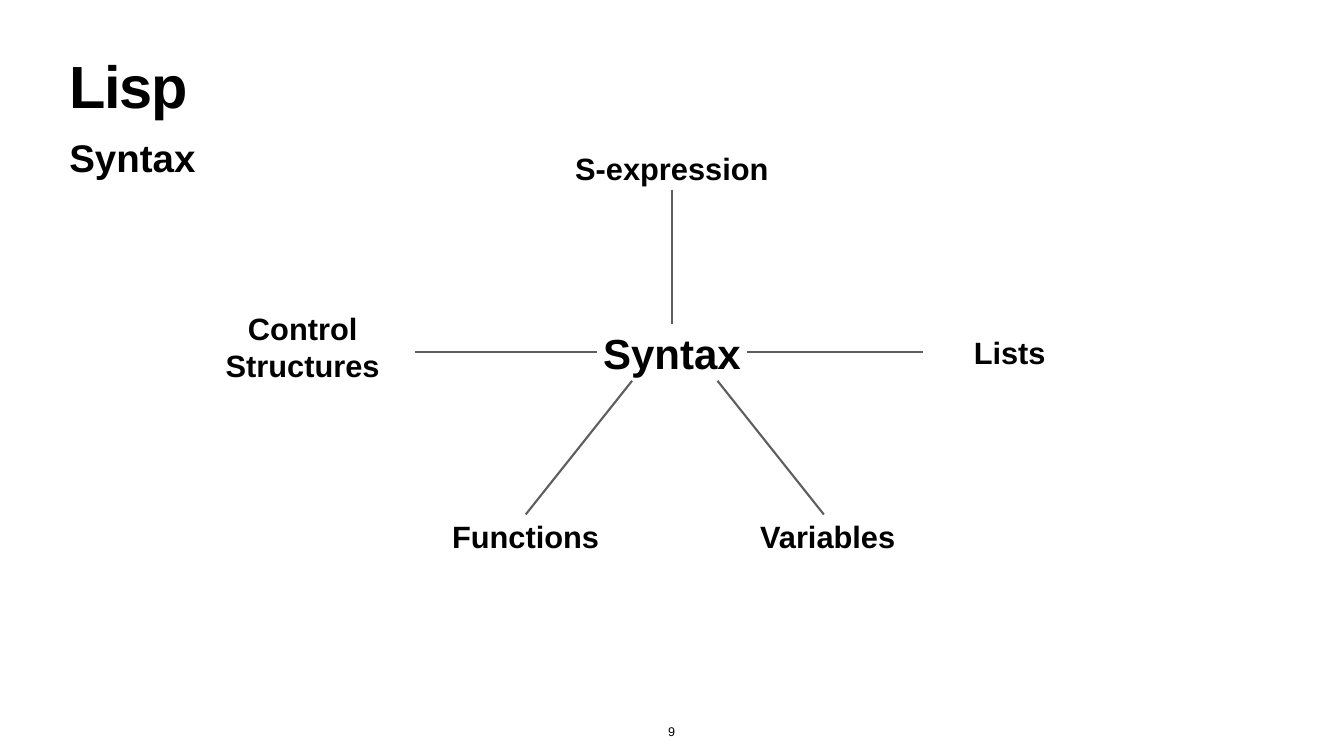
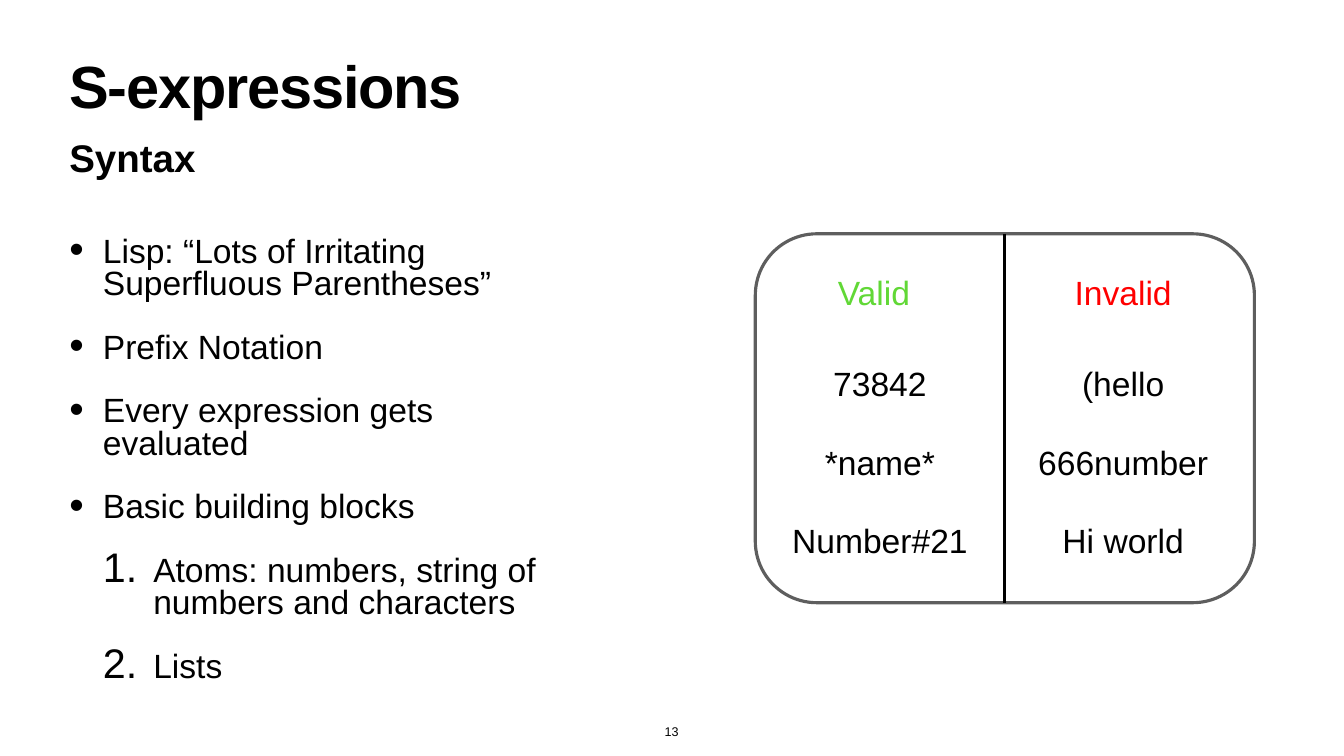
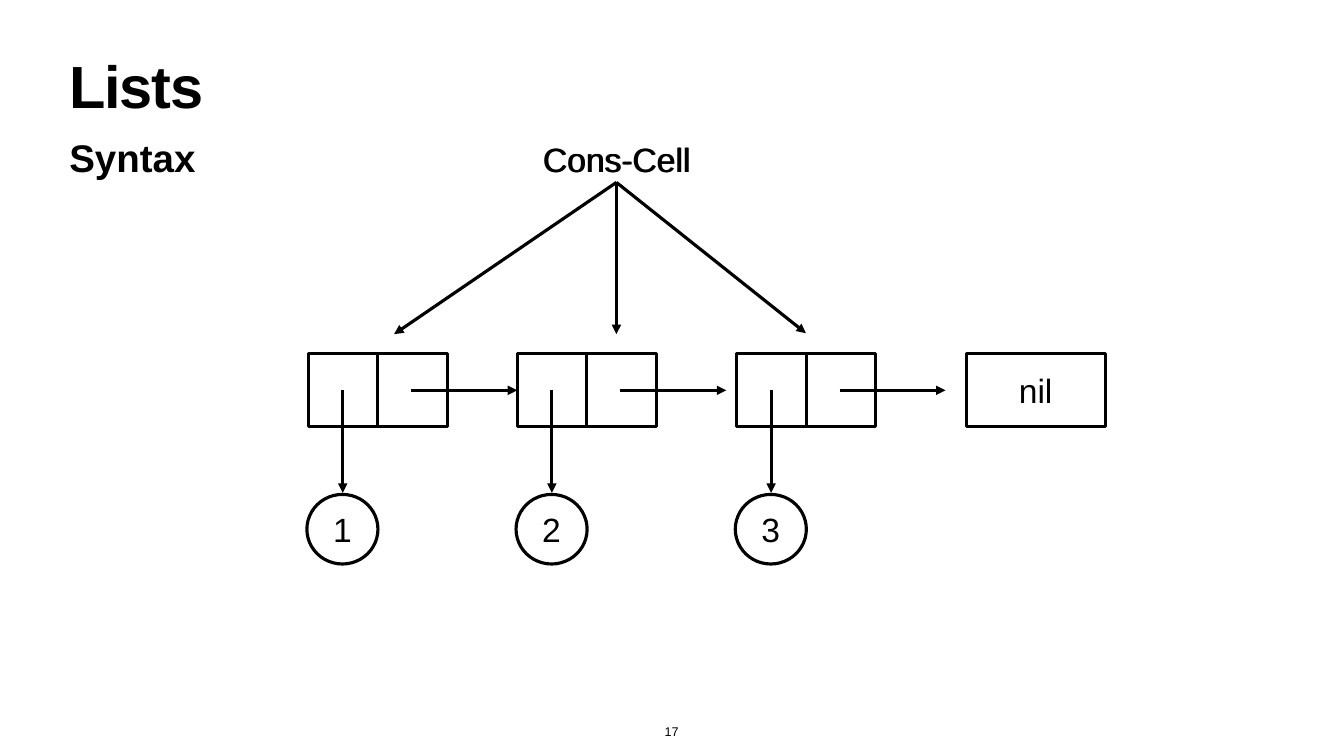
"""Builds three slides on Lisp syntax: an overview map, S-expressions and lists."""
from lxml import etree
from pptx import Presentation
from pptx.dml.color import RGBColor
from pptx.enum.shapes import MSO_CONNECTOR, MSO_SHAPE
from pptx.enum.text import MSO_ANCHOR, MSO_AUTO_SIZE, PP_ALIGN
from pptx.oxml.ns import qn
from pptx.util import Pt

LEFT, CENTER = PP_ALIGN.LEFT, PP_ALIGN.CENTER
TOP, MIDDLE, BOTTOM = MSO_ANCHOR.TOP, MSO_ANCHOR.MIDDLE, MSO_ANCHOR.BOTTOM
NO_FIT = MSO_AUTO_SIZE.NONE
STRAIGHT = MSO_CONNECTOR.STRAIGHT
RECT, ROUNDED = MSO_SHAPE.RECTANGLE, MSO_SHAPE.ROUNDED_RECTANGLE
CIRCLE = MSO_SHAPE.FLOWCHART_CONNECTOR

FONT = "Arial"
BLACK, WHITE, GRAY = "000000", "FFFFFF", "5E5E5E"
GREEN, RED = "61D836", "FF0000"
WIDTH, HEIGHT = 1920, 1080
MARGIN = 95
CONTENT_LAYOUT, TWO_CONTENT_LAYOUT = 1, 3
HEAVY = 4.5

SUBTITLE = "Syntax"

HUB = ("Syntax", (853, 463, 214, 81))
TOPICS = [
    ("S-expression", (795, 210, 330, 61), (960, 271), (960, 463)),
    ("Lists", (1305, 472, 275, 61), (1067, 503), (1318, 503)),
    ("Variables", (1041, 735, 283, 61), (1025, 544), (1177, 735)),
    ("Functions", (614, 735, 274, 61), (903, 544), (751, 735)),
    ("Control Structures", (287, 438, 291, 114), (593, 503), (853, 503)),
]

POINTS = [
    ("Lisp: “Lots of Irritating Superfluous Parentheses”", 0),
    ("Prefix Notation", 0),
    ("Every expression gets evaluated", 0),
    ("Basic building blocks", 0),
    ("Atoms: numbers, string of numbers and characters", 1),
    ("Lists", 1),
]
CARD = (1079, 334, 713, 527)
EXAMPLES = [
    ("Valid", GREEN, (1118, 261), ["73842", "*name*", "Number#21"], (1118, 278)),
    ("Invalid", RED, (1514, 181), ["(hello", "666number", "Hi world"], (1435, 339)),
]

CONS_CELLS = [("1", 440.6), ("2", 739.4), ("3", 1052.6)]
NIL_LEFT = 1380.2
CELL_TOP, CELL_WIDTH, CELL_HEIGHT = 505.4, 198.7, 104.4
CELL_LABEL_LEFTS = (663.8, 665.3)
CELL_LABEL_TIP = (880.6, 260.6)
CELL_TARGETS = [(563, 477.4), (880.6, 477.4), (1151.3, 476)]


def rgb(code):
    """Return the colour of a hex string."""
    return RGBColor.from_string(code)


def write(frame, text, size=48, color=BLACK, bold=False, align=CENTER, anchor=MIDDLE,
          inset=4, wrap=True, line_spacing=1.0, before=0, gap=0, tracking=None):
    """Fill a text frame with one string or a list of paragraphs and format it."""
    frame.auto_size = NO_FIT
    frame.word_wrap = wrap
    frame.vertical_anchor = anchor
    frame.margin_left = frame.margin_right = Pt(inset)
    frame.margin_top = frame.margin_bottom = Pt(inset)
    lines = [text] if isinstance(text, str) else text
    for index, line in enumerate(lines):
        paragraph = frame.add_paragraph() if index else frame.paragraphs[0]
        paragraph.alignment = align
        paragraph.line_spacing = line_spacing
        paragraph.space_before = Pt(gap if gap and index else before)
        run = paragraph.add_run()
        run.text = line
        run.font.name, run.font.size, run.font.bold = FONT, Pt(size), bold
        run.font.color.rgb = rgb(color)
        if tracking:
            run.font._element.set("spc", str(tracking))


def place(placeholder, left, top, width, height):
    """Move and resize a placeholder."""
    placeholder.left, placeholder.top = Pt(left), Pt(top)
    placeholder.width, placeholder.height = Pt(width), Pt(height)


def set_bullet(paragraph, indent, hanging, tag=None, **attributes):
    """Set the indents of a paragraph and its bullet, or no bullet."""
    props = paragraph._p.get_or_add_pPr()
    props.set("marL", str(Pt(indent)))
    props.set("indent", str(Pt(-hanging)))
    if tag:
        etree.SubElement(props, qn("a:buSzPct")).set("val", "123000")
    bullet = etree.SubElement(props, qn(tag or "a:buNone"))
    for key, value in attributes.items():
        bullet.set(key, value)


def add_text(slide, text, box, **style):
    """Add a text box."""
    write(slide.shapes.add_textbox(*map(Pt, box)).text_frame, text, **style)


def add_outline(slide, kind, box, fill=WHITE, line=BLACK, label=None):
    """Add an outlined shape, with a label if given."""
    shape = slide.shapes.add_shape(kind, *map(Pt, box))
    shape.shadow.inherit = False
    if fill:
        shape.fill.solid()
        shape.fill.fore_color.rgb = rgb(fill)
    else:
        shape.fill.background()
    shape.line.color.rgb = rgb(line)
    shape.line.width = Pt(HEAVY)
    if label:
        write(shape.text_frame, label)


def add_line(slide, start, end, color=BLACK, width=HEAVY, arrow=False):
    """Add a straight line, with an arrowhead at its end if asked."""
    line = slide.shapes.add_connector(STRAIGHT, *map(Pt, start + end))
    line.line.color.rgb = rgb(color)
    line.line.width = Pt(width)
    if arrow:
        etree.SubElement(line.line._get_or_add_ln(), qn("a:tailEnd")).set("type", "triangle")
    etree.SubElement(line._element.spPr, qn("a:effectLst"))


def add_slide(deck, title, number, layout=CONTENT_LAYOUT, subtitle_width=1730):
    """Add a slide with its title, subtitle and page number."""
    slide = deck.slides.add_slide(deck.slide_layouts[layout])
    heading, subtitle = slide.shapes.title, slide.placeholders[1]
    place(heading, MARGIN, 85, 1730, 113)
    write(heading.text_frame, title, size=85, bold=True, align=LEFT, anchor=TOP,
          line_spacing=0.8, tracking=-170)
    place(subtitle, MARGIN, 187, subtitle_width, 73)
    write(subtitle.text_frame, SUBTITLE, size=55, bold=True, align=LEFT, anchor=TOP)
    set_bullet(subtitle.text_frame.paragraphs[0], 0, 0)
    add_text(slide, str(number), (945, 1030, 29, 30), size=18, anchor=BOTTOM, wrap=False)
    return slide


def build_overview(deck):
    """Draw the syntax hub and its topics."""
    slide = add_slide(deck, "Lisp", 9, subtitle_width=770)
    add_text(slide, *HUB, size=60, bold=True)
    for topic, box, start, end in TOPICS:
        add_line(slide, start, end, GRAY, 3)
        add_text(slide, topic, box, size=44, bold=True)


def build_expressions(deck):
    """List the rules beside a card of valid and invalid examples."""
    slide = add_slide(deck, "S-expressions", 13, TWO_CONTENT_LAYOUT)
    rules = slide.placeholders[2]
    place(rules, MARGIN, 335, 747, 650)
    write(rules.text_frame, [point for point, level in POINTS], align=LEFT, anchor=TOP,
          line_spacing=0.8, before=45)
    for paragraph, (point, level) in zip(rules.text_frame.paragraphs, POINTS):
        paragraph.level = level
        if level:
            set_bullet(paragraph, 120, 72, "a:buAutoNum", type="arabicPeriod")
        else:
            set_bullet(paragraph, 48, 48, "a:buChar", char="•")
    left, top, width, height = CARD
    middle = left + width / 2
    add_outline(slide, ROUNDED, CARD, fill=None, line=GRAY)
    add_line(slide, (middle, top), (middle, top + height))
    for verdict, color, (head_left, head_width), samples, (text_left, text_width) in EXAMPLES:
        add_text(slide, verdict, (head_left, 384, head_width, 66), color=color)
        add_text(slide, samples, (text_left, 510, text_width, 299), gap=55)


def build_lists(deck):
    """Draw a chain of cons cells that ends in nil."""
    slide = add_slide(deck, "Lists", 17)
    middle = CELL_TOP + CELL_HEIGHT / 2
    for value, left in CONS_CELLS:
        divider, value_x, next_x = left + 99, left + 49, left + 147
        add_outline(slide, RECT, (left, CELL_TOP, CELL_WIDTH, CELL_HEIGHT))
        add_line(slide, (divider, CELL_TOP), (divider, CELL_TOP + CELL_HEIGHT))
        add_outline(slide, CIRCLE, (left - 2.2, 706.3, 101.5, 99.4), label=value)
        add_line(slide, (value_x, middle), (value_x, 704.2), arrow=True)
        add_line(slide, (next_x, middle), (next_x + 151.2, middle), arrow=True)
    add_outline(slide, RECT, (NIL_LEFT, CELL_TOP, CELL_WIDTH, CELL_HEIGHT), label="nil")
    for left in CELL_LABEL_LEFTS:
        add_text(slide, "Cons-Cell", (left, 194.4, 433.4, 66.2))
    for target in CELL_TARGETS:
        add_line(slide, CELL_LABEL_TIP, target, arrow=True)


deck = Presentation()
deck.slide_width, deck.slide_height = Pt(WIDTH), Pt(HEIGHT)
build_overview(deck)
build_expressions(deck)
build_lists(deck)
deck.save("out.pptx")
